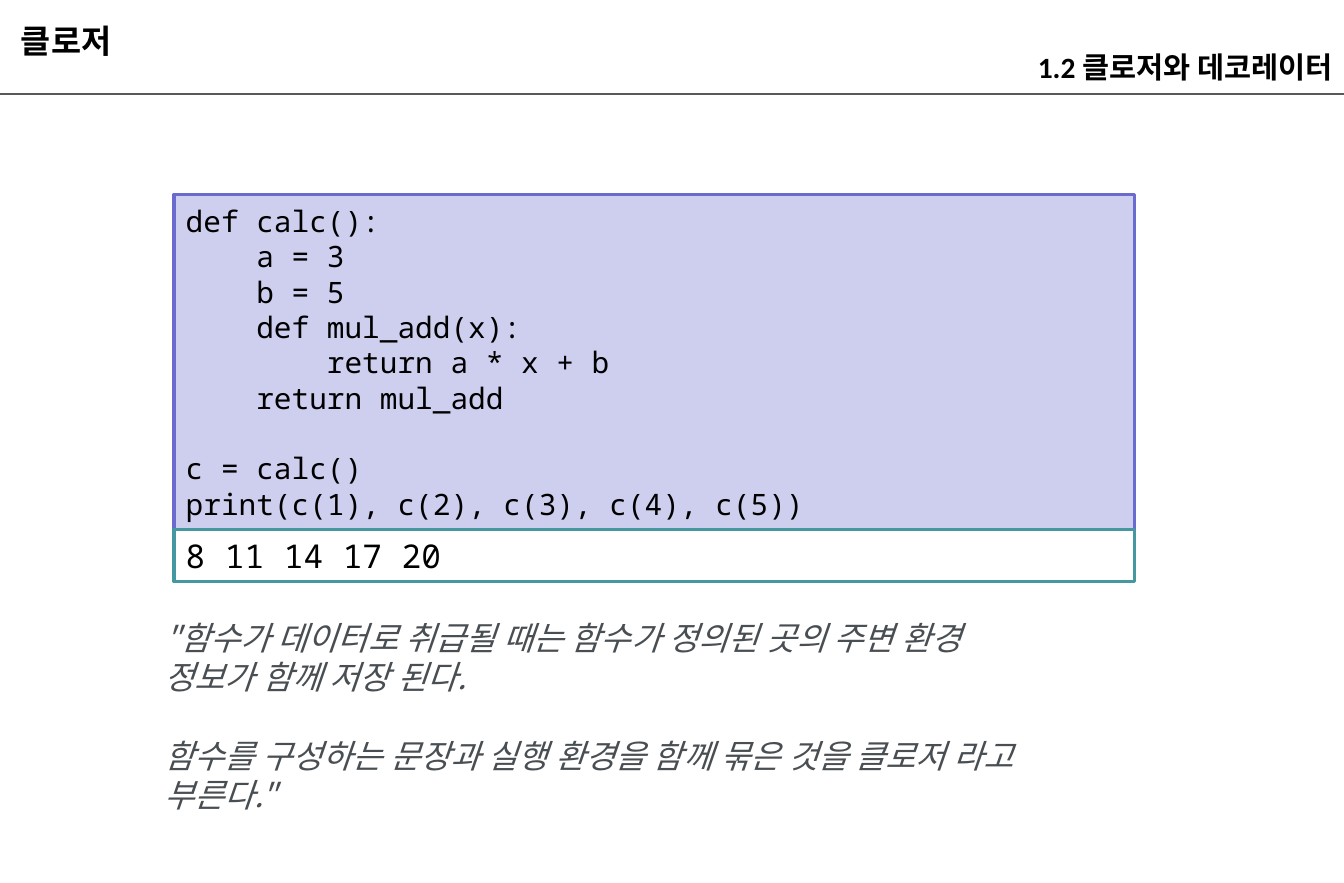
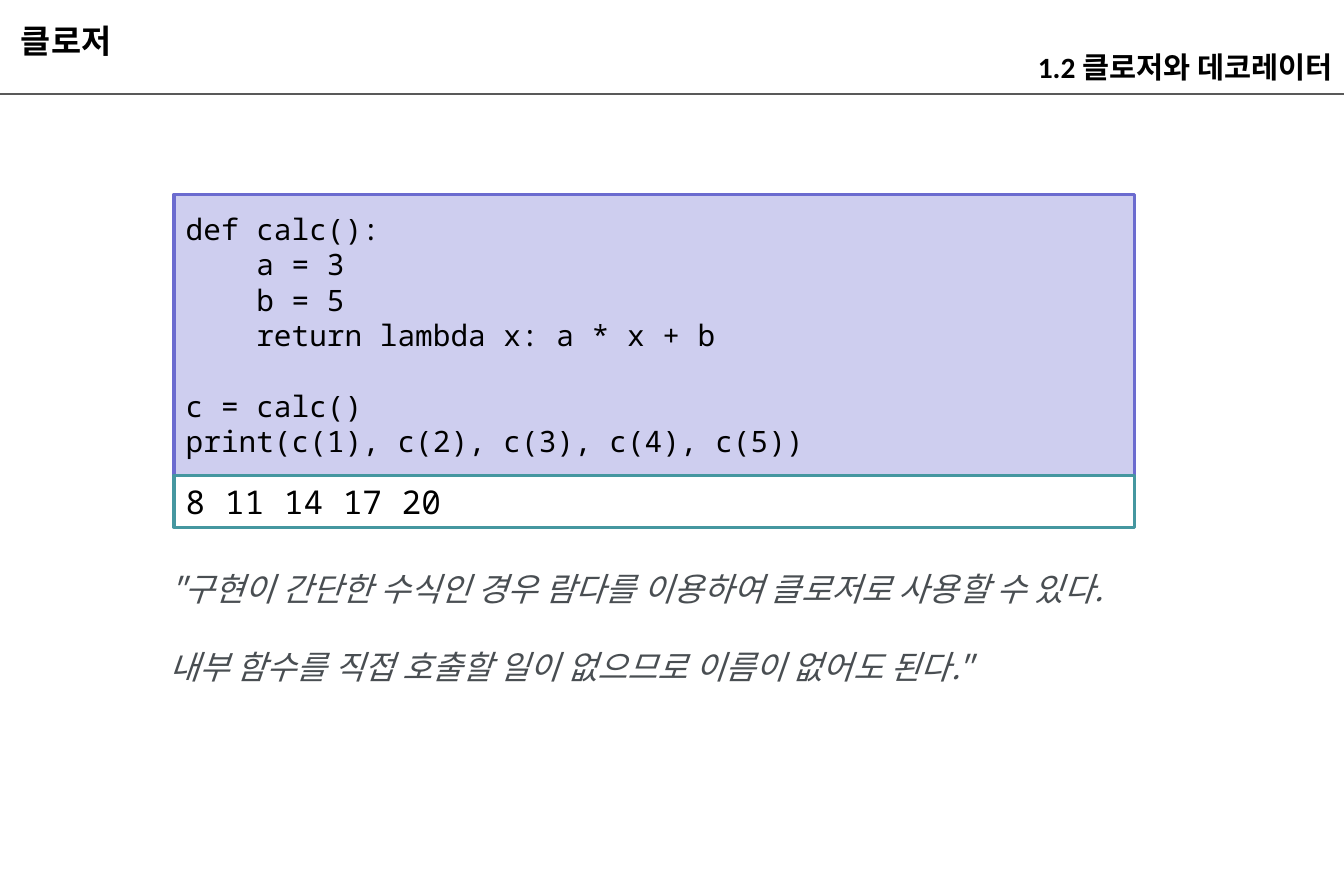
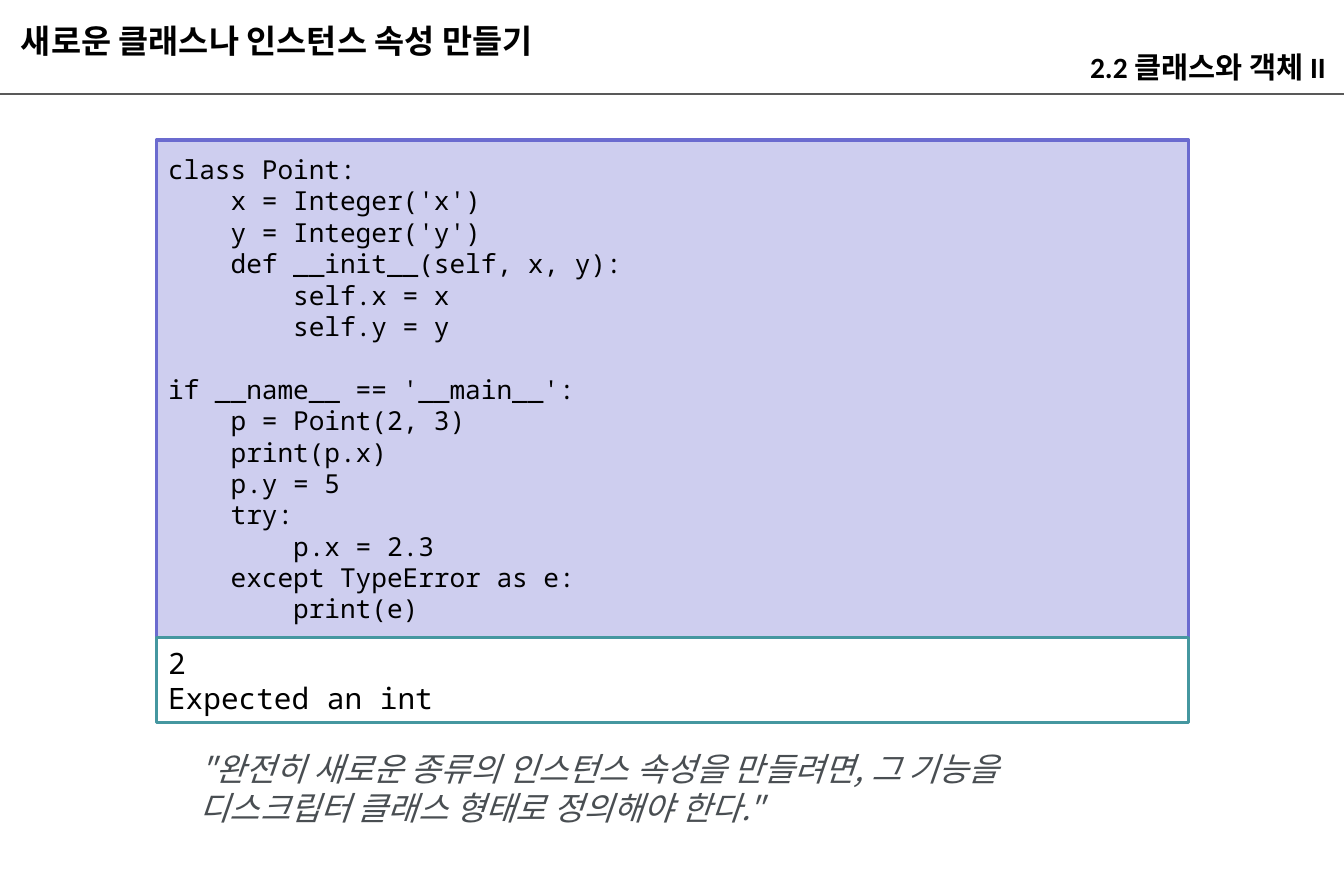
from lxml.etree import SubElement
from pptx import Presentation
from pptx.dml.color import RGBColor as Color
from pptx.enum.shapes import MSO_CONNECTOR as Connector, MSO_SHAPE as Shape
from pptx.enum.text import MSO_ANCHOR as Anchor, MSO_AUTO_SIZE as AutoSize, PP_ALIGN as Align
from pptx.oxml.ns import qn
from pptx.util import Pt

COLORS = {
    "text": "000000",
    "quote": "494E52",
    "rule": "595959",
    "code_fill": "CECEEF",
    "code_line": "6B6BCF",
    "output_fill": "FFFFFF",
    "output_line": "4597A0",
}
HEADER_FONT = "Calibri"
CODE_FONT = "Noto Sans Mono"
QUOTE_FONT = "Noto Sans CJK KR"
SLIDE_WIDTH, SLIDE_HEIGHT = 822.24, 540
LINE_PITCH = 1.2

CLOSURE_CODE = """def calc():
    a = 3
    b = 5
    def mul_add(x):
        return a * x + b
    return mul_add

c = calc()
print(c(1), c(2), c(3), c(4), c(5))"""

LAMBDA_CODE = """def calc():
    a = 3
    b = 5
    return lambda x: a * x + b

c = calc()
print(c(1), c(2), c(3), c(4), c(5))"""

POINT_CODE = """class Point:
    x = Integer('x')
    y = Integer('y')
    def __init__(self, x, y):
        self.x = x
        self.y = y

if __name__ == '__main__':
    p = Point(2, 3)
    print(p.x)
    p.y = 5
    try:
        p.x = 2.3
    except TypeError as e:
        print(e)"""

CLOSURE_QUOTE = """"함수가 데이터로 취급될 때는 함수가 정의된 곳의 주변 환경 정보가 함께 저장 된다.

함수를 구성하는 문장과 실행 환경을 함께 묶은 것을 클로저 라고 부른다.\""""

LAMBDA_QUOTE = """"구현이 간단한 수식인 경우 람다를 이용하여 클로저로 사용할 수 있다.

내부 함수를 직접 호출할 일이 없으므로 이름이 없어도 된다.\""""

POINT_QUOTE = (
    '"완전히 새로운 종류의 인스턴스 속성을 만들려면, 그 기능을 '
    '디스크립터 클래스 형태로 정의해야 한다."'
)


def color(name):
    return Color.from_string(COLORS[name])


def write_text(frame, text, *, font, size, ink="text", bold=False, italic=False,
               align=Align.LEFT, anchor=Anchor.TOP):
    frame.word_wrap = True
    frame.vertical_anchor = anchor
    para = frame.paragraphs[0]
    gap = 0
    for index, line in enumerate(text.split("\n")):
        if not line:
            gap = size * LINE_PITCH
            continue
        if index:
            para = frame.add_paragraph()
        para.alignment = align
        if gap:
            para.space_before = Pt(gap)
            gap = 0
        span = para.add_run()
        span.text = line
        span.font.name = font
        span.font.size = Pt(size)
        span.font.bold = bold
        span.font.italic = italic
        span.font.color.rgb = color(ink)


def add_text_box(page, text, left, top, width, height, **style):
    box = page.shapes.add_textbox(Pt(left), Pt(top), Pt(width), Pt(height))
    write_text(box.text_frame, text, **style)
    return box.text_frame


def add_header_text(page, text, left, top, width, **style):
    frame = add_text_box(page, text, left, top, width, 31.68, font=HEADER_FONT,
                         bold=True, anchor=Anchor.BOTTOM, **style)
    frame.margin_top = frame.margin_bottom = Pt(1.44)


def add_header_rule(page):
    rule = page.shapes.add_connector(
        Connector.STRAIGHT, Pt(0), Pt(57.6), Pt(SLIDE_WIDTH), Pt(57.6))
    rule.line.color.rgb = color("rule")
    rule.line.width = Pt(1.5)
    SubElement(rule.element.spPr, qn("a:effectLst"))


def add_panel(page, text, left, top, width, height, *, role, size):
    panel = page.shapes.add_shape(
        Shape.RECTANGLE, Pt(left), Pt(top), Pt(width), Pt(height))
    panel.shadow.inherit = False
    panel.fill.solid()
    panel.fill.fore_color.rgb = color(f"{role}_fill")
    panel.line.color.rgb = color(f"{role}_line")
    panel.line.width = Pt(2)
    write_text(panel.text_frame, text, font=CODE_FONT, size=size, anchor=Anchor.MIDDLE)


def add_listing(page, code, output, *, left, top, width, heights, sizes):
    for text, role, height, size in zip((code, output), ("code", "output"), heights, sizes):
        add_panel(page, text, left, top, width, height, role=role, size=size)
        top += height


def add_quote(page, text, left, top, width, height):
    frame = add_text_box(page, text, left, top, width, height,
                         font=QUOTE_FONT, size=20, ink="quote", italic=True)
    frame.auto_size = AutoSize.SHAPE_TO_FIT_TEXT


def add_page(deck, title, chapter):
    page = deck.slides.add_slide(deck.slide_layouts[6])
    add_header_rule(page)
    add_header_text(page, title, 5.76, 6.48, 368, size=20)
    add_header_text(page, chapter, 440, 21.6, SLIDE_WIDTH - 440, size=18, align=Align.RIGHT)
    return page


def main():
    deck = Presentation()
    deck.slide_width, deck.slide_height = Pt(SLIDE_WIDTH), Pt(SLIDE_HEIGHT)

    closure_header = ("클로저", "1.2 클로저와 데코레이터")
    calc_output = "8 11 14 17 20"
    calc_place = {"left": 106.56, "top": 118.8, "width": 587.5, "sizes": (18, 20)}

    page = add_page(deck, *closure_header)
    add_listing(page, CLOSURE_CODE, calc_output, heights=(205.2, 31.68), **calc_place)
    add_quote(page, CLOSURE_QUOTE, 93.6, 374.4, 543, 128)

    page = add_page(deck, *closure_header)
    add_listing(page, LAMBDA_CODE, calc_output, heights=(172, 31.68), **calc_place)
    add_quote(page, LAMBDA_QUOTE, 96.48, 344.16, 592, 80)

    page = add_page(deck, "새로운 클래스나 인스턴스 속성 만들기", "2.2 클래스와 객체 II ")
    add_listing(page, POINT_CODE, "2\nExpected an int", left=95.76, top=85.68,
                width=631.5, heights=(304.2, 51.84), sizes=(16, 18))
    add_quote(page, POINT_QUOTE, 115.2, 454.32, 592, 55.44)

    deck.save("out.pptx")


if __name__ == "__main__":
    main()
